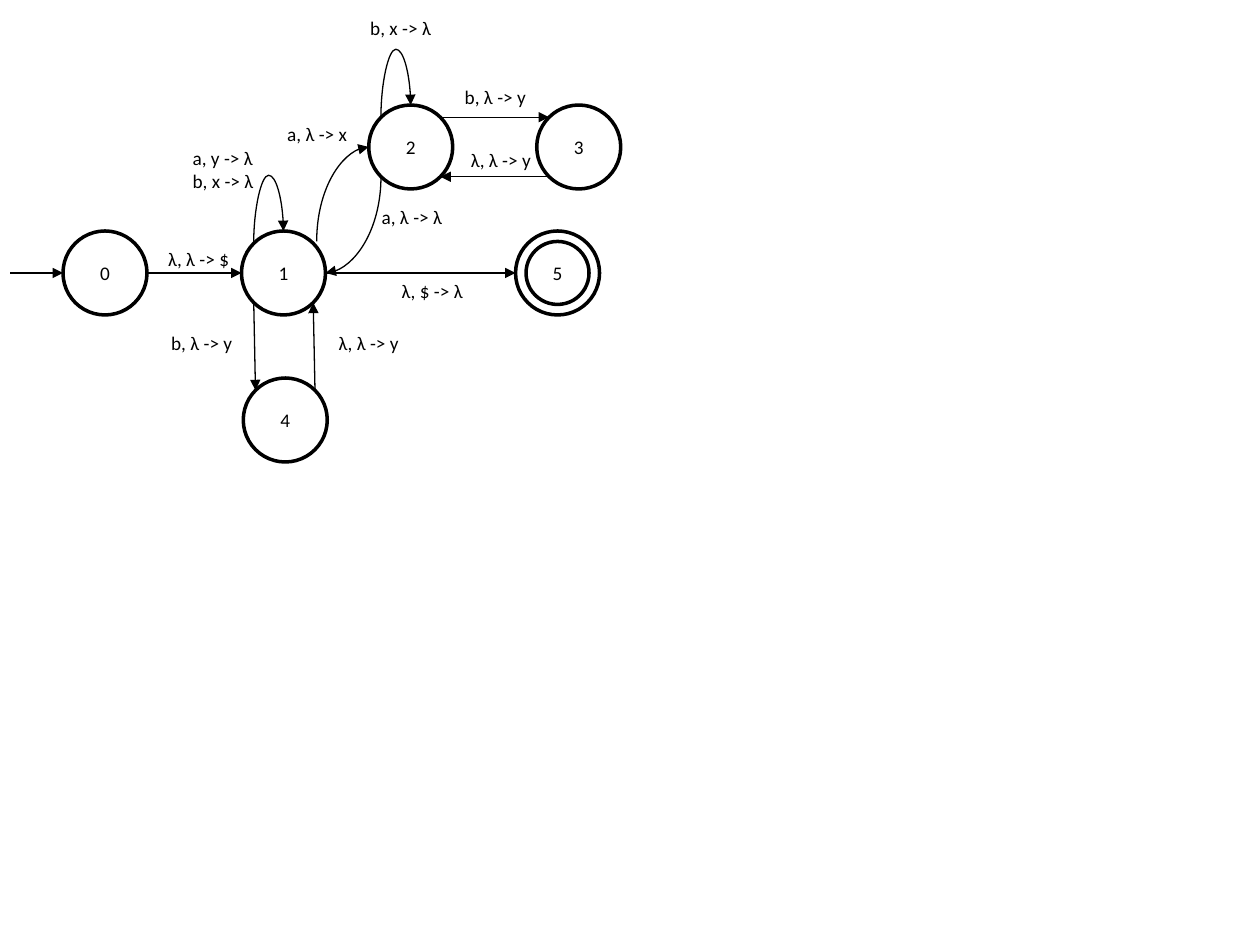
from lxml.etree import SubElement as Sub
from pptx import Presentation
from pptx.dml.color import RGBColor
from pptx.enum.shapes import MSO_CONNECTOR as Conn, MSO_SHAPE as Shape
from pptx.enum.text import MSO_ANCHOR as Anchor, MSO_AUTO_SIZE as Auto, PP_ALIGN as Align
from pptx.oxml.ns import qn
from pptx.util import Pt

INK = "000000"
R = 24  # state radius
D = 17  # offset of a diagonal point on the rim

# State name: centre
STATES = {
    "0": (60, 156), "1": (162, 156), "2": (234.7, 84),
    "3": (330.7, 84), "4": (163, 240), "5": (318.6, 156),
}
FINAL = "5"

# Points on a state's rim, from its centre
RIM = {
    "n": (0, -R), "e": (R, 0), "w": (-R, 0),
    "nw": (-D, -D), "ne": (D, -D), "sw": (-D, D), "se": (D, D),
    "out": (19, -18), "start": (-54, 0),
}

# From state and point, to state and point
LINES = [
    ("0", "start", "0", "w"), ("0", "e", "1", "w"), ("1", "e", "5", "w"),
    ("1", "sw", "4", "nw"), ("4", "ne", "1", "se"),
    ("2", "ne", "3", "nw"), ("3", "sw", "2", "se"),
]
ARCS = [("1", "out", "2", "w"), ("2", "sw", "1", "e")]
LOOPS = [("1", "nw", "1", "n"), ("2", "nw", "2", "n")]
BEND = 555000  # how far a loop rises

# Left, top, width, lines of text
LABELS = [
    (89, 137.5, 50, ["λ, λ -> $"]),
    (103, 80, 50, ["a, y -> λ", "b, x -> λ"]),
    (222.5, 156.2, 50, ["λ, $ -> λ"]),
    (90.7, 185.8, 50, ["b, λ -> y"]),
    (186.5, 185.8, 50, ["λ, λ -> y"]),
    (157, 66.2, 49, ["a, λ -> x"]),
    (258.5, 45.4, 50, ["b, λ -> y"]),
    (262, 81.4, 50, ["λ, λ -> y"]),
    (211, 113.8, 52, ["a, λ -> λ"]),
    (204.5, 5.8, 50, ["b, x -> λ"]),
]


def color(code):
    return RGBColor.from_string(code)


def style(par, text):
    par.text = text
    par.font.size = Pt(11)
    par.font.name = "Calibri"
    par.font.color.rgb = color(INK)


def ring(x, y, rad):
    oval = slide.shapes.add_shape(
        Shape.OVAL, Pt(x - rad), Pt(y - rad), Pt(2 * rad), Pt(2 * rad))
    oval.shadow.inherit = False
    oval.fill.background()
    oval.line.color.rgb = color(INK)
    oval.line.width = Pt(2)
    return oval


def ends(a, spot_a, b, spot_b):
    pairs = (STATES[a], RIM[spot_a]), (STATES[b], RIM[spot_b])
    return [(x + dx, y + dy) for (x, y), (dx, dy) in pairs]


def arrow(kind, start, end):
    link = slide.shapes.add_connector(kind, *(Pt(v) for v in (*start, *end)))
    link.line.color.rgb = color(INK)
    link.line.width = Pt(0.75)
    Sub(link.line._get_or_add_ln(), qn("a:tailEnd"), type="triangle")
    Sub(link._element.spPr, qn("a:effectLst"))
    return link


def curve(start, end, preset, bend=None):
    # The frame is turned a quarter, so the ends are turned back first
    mx, my = ((p + q) / 2 for p, q in zip(start, end))
    back = [(mx + y - my, my - x + mx) for x, y in (start, end)]
    props = arrow(Conn.CURVE, *back)._element.spPr
    props.find(qn("a:xfrm")).set("rot", "5400000")
    geom = props.find(qn("a:prstGeom"))
    geom.set("prst", preset)
    if bend:
        Sub(geom.find(qn("a:avLst")), qn("a:gd"), name="adj1", fmla=f"val {bend}")


deck = Presentation()
deck.slide_width, deck.slide_height = Pt(720), Pt(540)
slide = deck.slides.add_slide(deck.slide_layouts[6])

# States
for name, (x, y) in STATES.items():
    frame = ring(x, y, R).text_frame
    frame.vertical_anchor = Anchor.MIDDLE
    par = frame.paragraphs[0]
    style(par, name)
    par.alignment = Align.CENTER
ring(*STATES[FINAL], 18)

# Transitions
for edge in LINES:
    arrow(Conn.STRAIGHT, *ends(*edge))
for edge in ARCS:
    curve(*ends(*edge), "curvedConnector2")
for edge in LOOPS:
    curve(*ends(*edge), "curvedConnector3", BEND)

# Transition labels
for left, top, width, texts in LABELS:
    height = 7.6 + 13.2 * len(texts)
    box = slide.shapes.add_textbox(Pt(left), Pt(top), Pt(width), Pt(height))
    frame = box.text_frame
    frame.word_wrap = False
    frame.auto_size = Auto.SHAPE_TO_FIT_TEXT
    for i, text in enumerate(texts):
        style(frame.add_paragraph() if i else frame.paragraphs[0], text)

deck.save("out.pptx")
